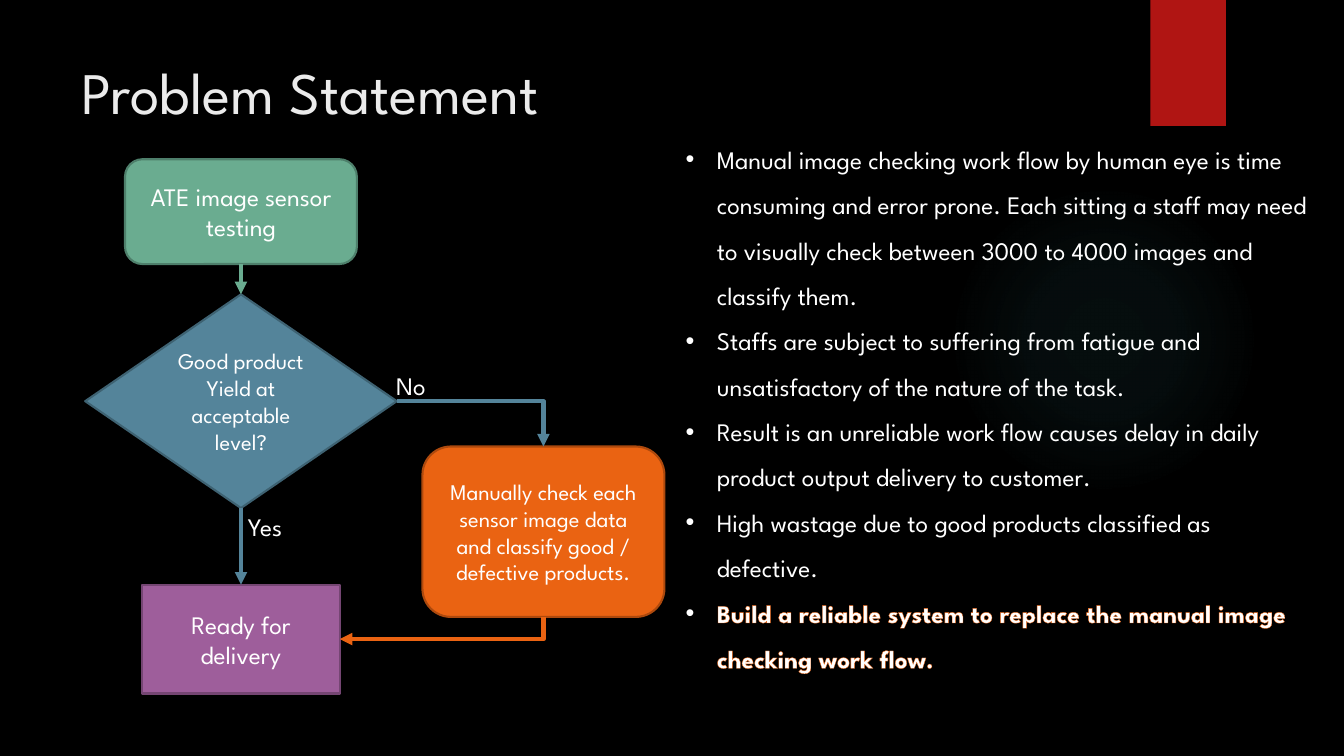
from dataclasses import dataclass

from lxml.etree import SubElement as Sub
from pptx import Presentation
from pptx.dml.color import RGBColor as Rgb
from pptx.enum.shapes import MSO_CONNECTOR as Link, MSO_SHAPE as Kind
from pptx.enum.text import MSO_ANCHOR as Anchor, MSO_AUTO_SIZE as Fit, PP_ALIGN as Align
from pptx.oxml import parse_xml as to_xml
from pptx.oxml.ns import nsdecls, qn
from pptx.util import Inches, Pt


@dataclass(frozen=True)
class Theme:
    font: str = "League Spartan"
    back: str = "000000"
    title: str = "EBEBEB"
    text: str = "FFFFFF"
    red: str = "B01513"
    glow: str = "50B9C1"
    green: tuple = ("6AAC90", "4E7F6B")
    blue: tuple = ("54849A", "3E6272")
    plum: tuple = ("9E5E9B", "754673")
    fire: tuple = ("EA6312", "AD490D")
    head: int = 42
    main: int = 18
    small: int = 16
    edge: float = 1.5
    arrow: float = 3


T = Theme()
CELL = Inches(0.1)  # grid of 133.3 columns by 75 rows
POINTS = [
    "Manual image checking work flow by human eye is time consuming and error prone. "
    "Each sitting a staff may need to visually check between 3000 to 4000 images and classify them.",
    "Staffs are subject to suffering from fatigue and unsatisfactory of the nature of the task.",
    "Result is an unreliable work flow causes delay in daily product output delivery to customer.",
    "High wastage due to good products classified as defective.",
    "Build a reliable system to replace the manual image checking work flow.",
]


def grid(*cells):
    return [round(c * CELL) for c in cells]


def place(shape, box):
    shape.left, shape.top, shape.width, shape.height = grid(*box)


def write(para, text, size, color=T.text, bold=False):
    run = para.add_run()
    run.text = text
    run.font.name, run.font.size, run.font.bold = T.font, Pt(size), bold
    run.font.color.rgb = Rgb.from_string(color)
    return run


def plain(slide, kind, box, color):
    shape = slide.shapes.add_shape(kind, *grid(*box))
    shape.shadow.inherit = False
    shape.fill.solid()
    shape.fill.fore_color.rgb = Rgb.from_string(color)
    shape.line.fill.background()
    return shape


# Backdrop: soft glow and red tab, behind everything else
def decor(slide, glow, tab):
    slide.background.fill.solid()
    slide.background.fill.fore_color.rgb = Rgb.from_string(T.back)
    halo = plain(slide, Kind.OVAL, glow, T.glow)
    stops = "".join(
        f'<a:gs pos="{pos}000"><a:srgbClr val="{T.glow}"><a:alpha val="{alpha}000"/></a:srgbClr></a:gs>'
        for pos, alpha in ((0, 7), (36, 6), (69, 0)))
    fade = to_xml(
        f'<a:gradFill {nsdecls("a")}><a:gsLst>{stops}</a:gsLst><a:path path="circle">'
        '<a:fillToRect l="50000" t="50000" r="50000" b="50000"/></a:path></a:gradFill>')
    props = halo._element.spPr
    props.replace(props.find(qn("a:solidFill")), fade)
    flag = plain(slide, Kind.RECTANGLE, tab, T.red)
    for at, shape in enumerate((halo, flag), 2):
        slide.shapes._spTree.insert(at, shape._element)


def heading(slide, box):
    title = slide.shapes.title
    place(title, box)
    frame = title.text_frame
    frame.vertical_anchor, frame.auto_size = Anchor.TOP, Fit.NONE
    frame.paragraphs[0].alignment = Align.LEFT
    write(frame.paragraphs[0], "Problem Statement", T.head, T.title)


# Bulleted list; the last point is bold with an outline
def points(slide, box):
    body = slide.placeholders[1]
    place(body, box)
    frame = body.text_frame
    frame.auto_size, frame.vertical_anchor = Fit.NONE, Anchor.TOP
    for i, text in enumerate(POINTS):
        para = frame.paragraphs[0] if i == 0 else frame.add_paragraph()
        para.line_spacing, para.space_before = 1.5, Pt(0)
        props = para._p.get_or_add_pPr()
        hang = Inches(0.31)
        props.set("marL", str(hang))
        props.set("indent", str(-hang))
        Sub(props, qn("a:buFont"), typeface="Arial")
        Sub(props, qn("a:buChar"), char="•")
        last = i == len(POINTS) - 1
        run = write(para, text, T.main, bold=last)
        if last:
            run.font._element.insert(0, to_xml(
                f'<a:ln {nsdecls("a")} w="{Pt(0.52)}"><a:solidFill>'
                f'<a:srgbClr val="{T.fire[0]}"/></a:solidFill></a:ln>'))


# Flowchart node, centred on column mid
def node(slide, kind, mid, top, wide, high, tint, text, size):
    shape = plain(slide, kind, (mid - wide / 2, top, wide, high), tint[0])
    shape.line.color.rgb = Rgb.from_string(tint[1])
    shape.line.width = Pt(T.edge)
    frame = shape.text_frame
    frame.word_wrap, frame.vertical_anchor = True, Anchor.MIDDLE
    frame.paragraphs[0].alignment = Align.CENTER
    write(frame.paragraphs[0], text, size)
    return shape


def join(slide, start, out, end, into, tint, bent=False):
    link = slide.shapes.add_connector(Link.ELBOW if bent else Link.STRAIGHT, 0, 0, 0, 0)
    link.begin_connect(start, out)
    link.end_connect(end, into)
    link.line.color.rgb = Rgb.from_string(tint[0])
    link.line.width = Pt(T.arrow)
    props = link._element.spPr
    Sub(props.find(qn("a:ln")), qn("a:tailEnd"), type="triangle")
    Sub(props, qn("a:effectLst"))
    if bent:
        props.find(qn("a:prstGeom")).set("prst", "bentConnector2")
    return link


# Turn a bent link a quarter, so that it runs down first and then left
def turn(link):
    wide, high = link.width, link.height
    left, top = link.left + (wide - high) // 2, link.top + (high - wide) // 2
    link.left, link.top, link.width, link.height = left, top, high, wide
    frame = link._element.spPr.find(qn("a:xfrm"))
    frame.set("rot", "5400000")
    for flip in ("flipH", "flipV"):
        frame.attrib.pop(flip, None)


def label(slide, box, text):
    frame = slide.shapes.add_textbox(*grid(*box)).text_frame
    frame.word_wrap, frame.auto_size = False, Fit.SHAPE_TO_FIT_TEXT
    write(frame.paragraphs[0], text, T.main)


def flow(slide, x, y):
    main, side = x + 15.5, x + 45.5
    test = node(slide, Kind.ROUNDED_RECTANGLE, main, y, 23, 10.4, T.green,
                "ATE image sensor testing", T.main)
    good = node(slide, Kind.FLOWCHART_DECISION, main, y + 13.4, 30.9, 21.2, T.blue,
                "Good product Yield at acceptable level?", T.small)
    ready = node(slide, Kind.FLOWCHART_PROCESS, main, y + 42.2, 19.6, 10.8, T.plum,
                 "Ready for delivery", T.main)
    check = node(slide, Kind.ROUNDED_RECTANGLE, side, y + 28.5, 24, 16.9, T.fire,
                 "Manually check each sensor image data and classify good / defective products.",
                 T.small)
    join(slide, good, 3, check, 0, T.blue, bent=True)
    join(slide, good, 2, ready, 0, T.blue)
    join(slide, test, 2, good, 0, T.green)
    turn(join(slide, check, 2, ready, 3, T.fire, bent=True))
    label(slide, (x + 15.2, y + 34.4, 6.1, 4), "Yes")
    label(slide, (x + 29.9, y + 20.4, 5.5, 4), "No")


def main():
    deck = Presentation()
    deck.slide_width, deck.slide_height = Inches(13.33), Inches(7.5)
    slide = deck.slides.add_slide(deck.slide_layouts[1])
    decor(slide, (94.1, 18.3, 30.8, 30.8), (114.1, 0, 7.5, 12.5))
    heading(slide, (7.1, 5, 102.9, 15.3))
    flow(slide, 8.4, 15.8)
    points(slide, (67, 12.3, 64.4, 55.5))
    deck.save("out.pptx")


if __name__ == "__main__":
    main()
